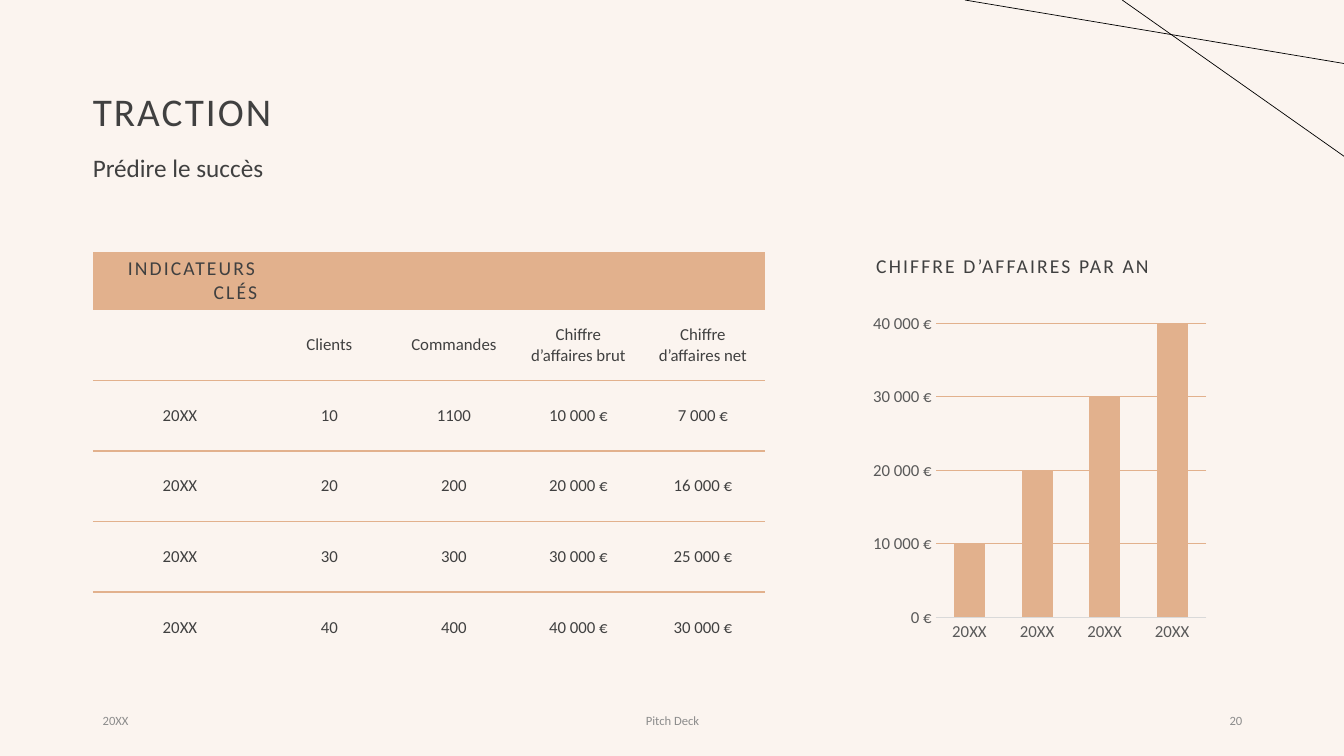
from dataclasses import dataclass

from lxml.etree import SubElement
from pptx import Presentation
from pptx.chart.data import CategoryChartData
from pptx.dml.color import RGBColor
from pptx.enum.chart import XL_CHART_TYPE as ChartType, XL_TICK_MARK as TickMark
from pptx.enum.shapes import MSO_CONNECTOR as Connector
from pptx.enum.text import MSO_ANCHOR as Anchor, MSO_AUTO_SIZE as AutoSize, PP_ALIGN as Align
from pptx.oxml import parse_xml
from pptx.oxml.ns import nsdecls, qn
from pptx.util import Inches, Pt


@dataclass(frozen=True)
class Theme:
    font: str = "Calibri"
    paper: str = "FBF4EF"
    accent: str = "E2B18D"
    ink: str = "404040"
    axis_text: str = "595959"
    axis_line: str = "D9D9D9"
    muted: str = "8C8C8C"
    line: str = "000000"
    title: int = 28
    subtitle: int = 18
    heading: int = 14
    body: int = 12
    footer: int = 9
    tracking: float = 1.5


THEME = Theme()
NO_GRID_STYLE = "{2D5ABB26-0587-4C30-8999-92F81FD0307C}"
KEY_FIGURES = [
    ["INDICATEURS CLÉS", "", "", "", ""],
    ["", "Clients", "Commandes", "Chiffre d’affaires brut", "Chiffre d’affaires net"],
    ["20XX", "10", "1100", "10 000 €", "7 000 €"],
    ["20XX", "20", "200", "20 000 €", "16 000 €"],
    ["20XX", "30", "300", "30 000 €", "25 000 €"],
    ["20XX", "40", "400", "40 000 €", "30 000 €"],
]
REVENUE = [10000, 20000, 30000, 40000]


def rgb(code):
    return RGBColor.from_string(code)


def style_font(font, size, color):
    font.name = THEME.font
    font.size = Pt(size)
    font.bold = False
    font.color.rgb = rgb(color)


def write(frame, text, size, color=THEME.ink, align=Align.LEFT, tracking=0):
    para = frame.paragraphs[0]
    para.alignment = align
    span = para.add_run()
    span.text = text
    style_font(span.font, size, color)
    if tracking:
        span.font._element.set("spc", str(int(tracking * 100)))
    return para


def place(shape, left, top, width, height):
    shape.left, shape.top = Inches(left), Inches(top)
    shape.width, shape.height = Inches(width), Inches(height)


def fill_placeholder(holder, area, text, size, anchor=Anchor.TOP, before=10, tracking=0):
    place(holder, *area)
    frame = holder.text_frame
    frame.word_wrap = True
    frame.auto_size = AutoSize.NONE
    frame.vertical_anchor = anchor
    para = write(frame, text, size, tracking=tracking)
    para.line_spacing = 0.9
    para.space_before = Pt(before)


def add_footer(page, left, width, text, align):
    box = page.shapes.add_textbox(Inches(left), Inches(6.95), Inches(width), Inches(0.4))
    box.text_frame.word_wrap = True
    box.text_frame.vertical_anchor = Anchor.MIDDLE
    write(box.text_frame, text, THEME.footer, THEME.muted, align)


def add_line(page, start, end):
    points = [Inches(value) for value in (*start, *end)]
    line = page.shapes.add_connector(Connector.STRAIGHT, *points)
    line.line.color.rgb = rgb(THEME.line)
    line.line.width = Pt(0.5)
    SubElement(line._element.spPr, qn("a:effectLst"))


def rule_below(cell):
    cell._tc.get_or_add_tcPr().insert(0, parse_xml(
        f'<a:lnB {nsdecls("a")} w="{Pt(1)}"><a:solidFill>'
        f'<a:srgbClr val="{THEME.accent}"/></a:solidFill></a:lnB>'))


def add_key_figures(page):
    width, first_width, header_height, row_height = 6.67, 1.73, 0.34, 0.7
    row_count, column_count = len(KEY_FIGURES), len(KEY_FIGURES[0])
    holder = page.shapes.add_table(row_count, column_count, Inches(0.92), Inches(2.5),
                                   Inches(width), Inches(4.06))
    table = holder.table
    table.first_row = table.horz_banding = False
    table._tbl.tblPr.find(qn("a:tableStyleId")).text = NO_GRID_STYLE
    for index, column in enumerate(table.columns):
        rest = (width - first_width) / (column_count - 1)
        column.width = Inches(rest if index else first_width)
    for index, row in enumerate(table.rows):
        row.height = Inches(row_height if index else header_height)
        for cell, text in zip(row.cells, KEY_FIGURES[index]):
            cell.vertical_anchor = Anchor.MIDDLE
            if 0 < index < row_count - 1:
                rule_below(cell)
            if index == 0:
                cell.fill.solid()
                cell.fill.fore_color.rgb = rgb(THEME.accent)
            else:
                cell.fill.background()
            if text and index == 0:
                write(cell.text_frame, text, THEME.heading, align=Align.RIGHT,
                      tracking=THEME.tracking)
            elif text:
                write(cell.text_frame, text, THEME.body, align=Align.CENTER)


def add_revenue_chart(page):
    data = CategoryChartData()
    data.categories = ["20XX"] * len(REVENUE)
    data.add_series("Series 1", REVENUE)
    chart = page.shapes.add_chart(ChartType.COLUMN_CLUSTERED, Inches(8.59), Inches(3.04),
                                  Inches(3.44), Inches(3.39), data).chart
    chart.has_legend = chart.has_title = False
    style_font(chart.font, THEME.body, THEME.axis_text)

    plot = chart.plots[0]
    plot.vary_by_categories = False
    plot.gap_width, plot.overlap = 118, -3
    bars = plot.series[0].format.fill
    bars.solid()
    bars.fore_color.rgb = rgb(THEME.accent)

    years, amounts = chart.category_axis, chart.value_axis
    for axis in (years, amounts):
        axis.major_tick_mark = axis.minor_tick_mark = TickMark.NONE
        style_font(axis.tick_labels.font, THEME.body, THEME.axis_text)
    years.format.line.color.rgb = rgb(THEME.axis_line)
    years.format.line.width = Pt(0.75)
    amounts.format.line.fill.background()
    amounts.minimum_scale, amounts.maximum_scale, amounts.major_unit = 0, 40000, 10000
    amounts.major_gridlines.format.line.color.rgb = rgb(THEME.accent)
    amounts.major_gridlines.format.line.width = Pt(0.75)
    amounts.tick_labels.number_format = r'#\ ##0\ "€"'
    amounts.tick_labels.number_format_is_linked = False


def main():
    deck = Presentation()
    deck.slide_width, deck.slide_height = Inches(13.33), Inches(7.5)
    page = deck.slides.add_slide(deck.slide_layouts.get_by_name("Comparison"))
    page.background.fill.solid()
    page.background.fill.fore_color.rgb = rgb(THEME.paper)

    title, subtitle, left_content, chart_heading, right_content = page.placeholders
    for unused in (left_content, right_content):
        unused._element.getparent().remove(unused._element)
    fill_placeholder(title, (0.92, 0.4, 11.5, 1.45), "TRACTION", THEME.title,
                     Anchor.MIDDLE, before=0, tracking=THEME.tracking)
    title.text_frame.margin_left = 0
    fill_placeholder(subtitle, (0.82, 1.49, 7.4, 0.54), "Prédire le succès", THEME.subtitle)
    add_key_figures(page)
    fill_placeholder(chart_heading, (8.59, 2.5, 3.44, 0.34), "CHIFFRE D’AFFAIRES PAR AN",
                     THEME.heading, tracking=THEME.tracking)

    add_footer(page, 0.92, 3, "20XX", Align.LEFT)
    add_footer(page, 4.42, 4.5, "Pitch Deck", Align.CENTER)
    add_footer(page, 9.42, 3, "20", Align.RIGHT)
    add_line(page, (11.13, 0), (13.33, 1.55))
    add_line(page, (9.57, 0), (13.33, 0.63))
    add_revenue_chart(page)
    deck.save("out.pptx")


if __name__ == "__main__":
    main()
